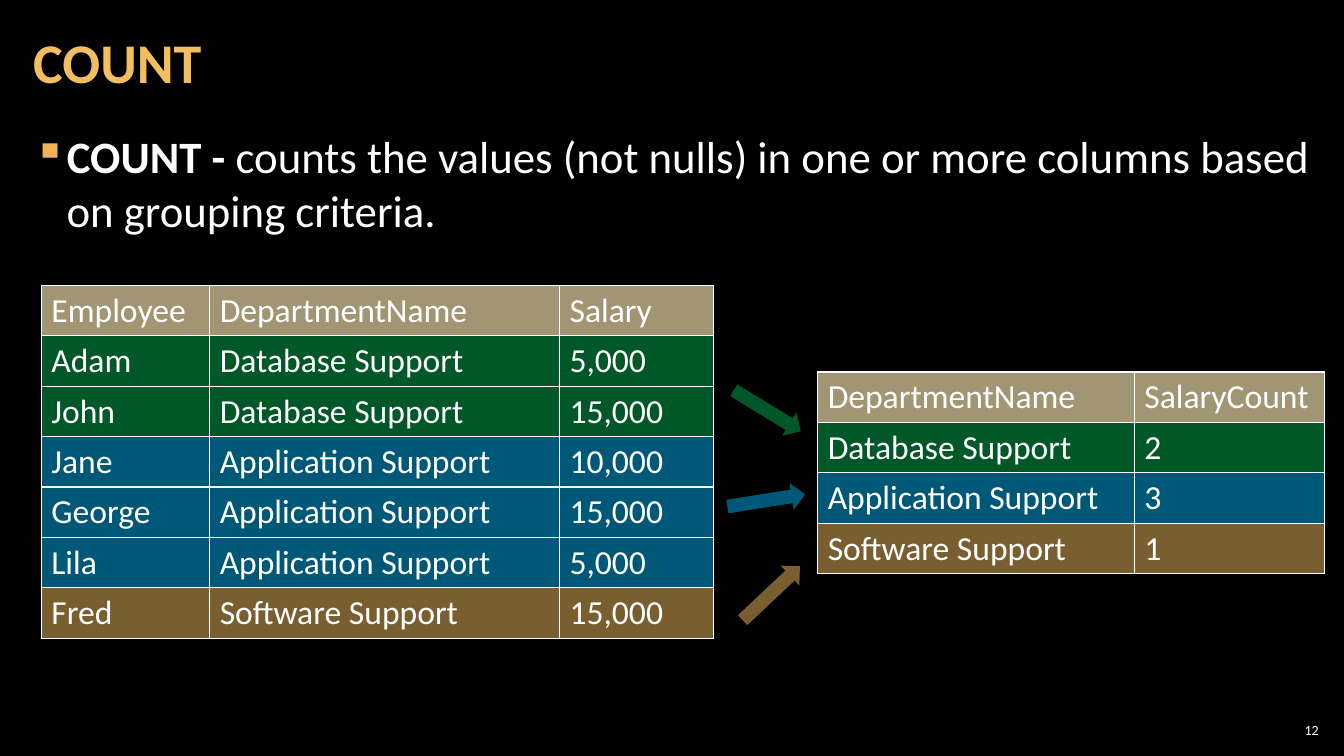
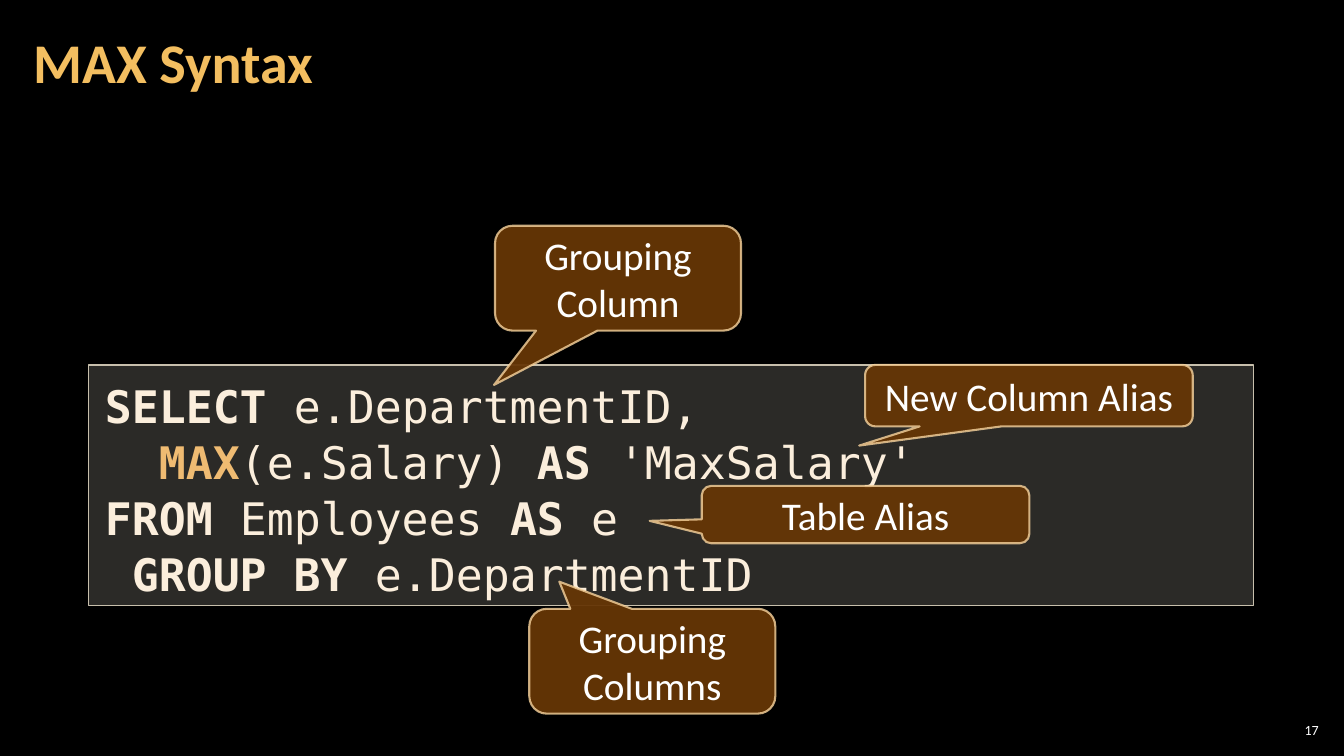
from pptx import Presentation
from pptx.dml.color import RGBColor
from pptx.enum.shapes import MSO_SHAPE
from pptx.enum.text import MSO_ANCHOR, PP_ALIGN
from pptx.oxml import parse_xml
from pptx.oxml.ns import nsdecls, qn
from pptx.util import Inches, Pt

BLACK = RGBColor(0x00, 0x00, 0x00)
WHITE = RGBColor(0xFF, 0xFF, 0xFF)
GOLD = RGBColor(0xF3, 0xBE, 0x60)
HEADER = RGBColor(0xA1, 0x95, 0x74)
GREEN = RGBColor(0x00, 0xB0, 0x50)
BLUE = RGBColor(0x00, 0xB0, 0xF0)
CODE_FILL = RGBColor(0xD9, 0xD5, 0xC7)
CODE_LINE = RGBColor(0xC7, 0xBF, 0xAC)
CODE_TEXT = RGBColor(0xFB, 0xEE, 0xDC)
CODE_FUNCTION = RGBColor(0xEF, 0xBB, 0x72)
CALLOUT_FILL = RGBColor(0x66, 0x36, 0x06)
CALLOUT_LINE = RGBColor(0xF8, 0xD4, 0x9E)
BODY_FONT = "Calibri"
CODE_FONT = "DejaVu Sans Mono"


def add_span(para, text, size, color=WHITE, bold=False, font=BODY_FONT):
    span = para.add_run()
    span.text = text
    span.font.name = font
    span.font.size = Pt(size)
    span.font.color.rgb = color
    span.font.bold = bold


def set_opacity(properties, percent):
    color = properties.find(qn("a:solidFill"))[0]
    color.append(parse_xml(f'<a:alpha {nsdecls("a")} val="{percent * 1000}"/>'))


deck = Presentation()
deck.slide_width = Inches(13.33)
deck.slide_height = Inches(7.5)

pages = []
for title, number in (("COUNT", "12"), ("MAX Syntax", "17")):
    page = deck.slides.add_slide(deck.slide_layouts[6])
    page.background.fill.solid()
    page.background.fill.fore_color.rgb = BLACK
    for text, place, side, size, color, bold, align in (
        (title, (0.21, 0.04, 10.47, 1.21), 0.12, 40, GOLD, True, PP_ALIGN.LEFT),
        (number, (12.65, 7.14, 0.47, 0.21), 0.04, 10, WHITE, False, PP_ALIGN.RIGHT),
    ):
        box = page.shapes.add_textbox(*map(Inches, place))
        frame = box.text_frame
        frame.word_wrap = True
        frame.vertical_anchor = MSO_ANCHOR.MIDDLE
        frame.margin_left = frame.margin_right = Inches(side)
        frame.margin_top = frame.margin_bottom = Inches(0.04)
        para = frame.paragraphs[0]
        para.alignment = align
        para.line_spacing = 0.9 if bold else 1.0
        add_span(para, text, size, color, bold)
    pages.append(page)
count_page, syntax_page = pages

box = count_page.shapes.add_textbox(Inches(0.21), Inches(1.24), Inches(12.91), Inches(1.3))
frame = box.text_frame
frame.word_wrap = True
frame.margin_left = frame.margin_right = Inches(0.12)
frame.margin_top = frame.margin_bottom = Inches(0.04)
para = frame.paragraphs[0]
para.space_before = para.space_after = Pt(6)
bullet = para._p.get_or_add_pPr()
bullet.set("marL", str(Inches(0.33)))
bullet.set("indent", str(-Inches(0.33)))
bullet.append(parse_xml(f'<a:buClr {nsdecls("a")}><a:srgbClr val="F2B254"/></a:buClr>'))
bullet.append(parse_xml(f'<a:buChar {nsdecls("a")} char="▪"/>'))
add_span(para, "COUNT -", 32, bold=True)
add_span(para, " counts the values (not nulls) in one or more columns based on grouping criteria.", 32)

DEPARTMENT_COLORS = {
    "Database Support": GREEN,
    "Application Support": BLUE,
    "Software Support": GOLD,
}
employees = (
    ("Employee", "DepartmentName", "Salary"),
    ("Adam", "Database Support", "5,000"),
    ("John", "Database Support", "15,000"),
    ("Jane", "Application Support", "10,000"),
    ("George", "Application Support", "15,000"),
    ("Lila", "Application Support", "5,000"),
    ("Fred", "Software Support", "15,000"),
)
salary_counts = (
    ("DepartmentName", "SalaryCount"),
    ("Database Support", "2"),
    ("Application Support", "3"),
    ("Software Support", "1"),
)
for rows, left, top, widths in (
    (employees, 0.41, 2.83, (1.67, 3.47, 1.53)),
    (salary_counts, 8.11, 3.69, (3.14, 1.89)),
):
    table = count_page.shapes.add_table(
        len(rows), len(widths), Inches(left), Inches(top),
        Inches(sum(widths)), Inches(0.5 * len(rows)),
    ).table
    table.horz_banding = False
    for column, width in zip(table.columns, widths):
        column.width = Inches(width)
    for row_index, row in enumerate(rows):
        department = next((text for text in row if text in DEPARTMENT_COLORS), None)
        for column_index, text in enumerate(row):
            cell = table.cell(row_index, column_index)
            add_span(cell.text_frame.paragraphs[0], text, 24)
            properties = cell._tc.get_or_add_tcPr()
            for edge in ("lnL", "lnR", "lnT", "lnB"):
                properties.append(parse_xml(
                    f'<a:{edge} {nsdecls("a")} w="{Pt(1)}"><a:solidFill>'
                    f'<a:srgbClr val="{WHITE}"/></a:solidFill></a:{edge}>'
                ))
            cell.fill.solid()
            cell.fill.fore_color.rgb = DEPARTMENT_COLORS.get(department, HEADER)
            if department:
                set_opacity(properties, 50)

for left, top, angle, color in (
    (7.22, 3.94, 31.4, GREEN),
    (7.21, 4.83, 351, BLUE),
    (7.26, 5.75, 316.7, GOLD),
):
    arrow = count_page.shapes.add_shape(
        MSO_SHAPE.RIGHT_ARROW, Inches(left), Inches(top), Inches(0.78), Inches(0.27)
    )
    arrow.rotation = angle
    arrow.shadow.inherit = False
    arrow.fill.solid()
    arrow.fill.fore_color.rgb = color
    arrow.line.fill.background()
    set_opacity(arrow._element.spPr, 50)

code_box = syntax_page.shapes.add_shape(
    MSO_SHAPE.RECTANGLE, Inches(0.88), Inches(3.62), Inches(11.55), Inches(2.39)
)
code_box.shadow.inherit = False
code_box.fill.solid()
code_box.fill.fore_color.rgb = CODE_FILL
set_opacity(code_box._element.spPr, 20)
code_box.line.color.rgb = CODE_LINE
code_box.line.width = Pt(1)
frame = code_box.text_frame
frame.word_wrap = True
frame.vertical_anchor = MSO_ANCHOR.TOP
frame.margin_left = frame.margin_right = Inches(0.16)
frame.margin_top = frame.margin_bottom = Inches(0.12)
code_lines = (
    (("SELECT ", True), ("e.DepartmentID,", False)),
    (("  ", False), ("MAX", True), ("(e.Salary) ", False), ("AS", True), (" 'MaxSalary'", False)),
    (("FROM", True), (" Employees ", False), ("AS", True), (" e", False)),
    ((" GROUP BY", True), (" e.DepartmentID", False)),
)
for index, code_line in enumerate(code_lines):
    para = frame.add_paragraph() if index else frame.paragraphs[0]
    para.alignment = PP_ALIGN.LEFT
    para.line_spacing = 1.04
    for text, bold in code_line:
        color = CODE_FUNCTION if text == "MAX" else CODE_TEXT
        add_span(para, text, 32, color, bold, CODE_FONT)

for text, place, pointer in (
    ("Grouping Column", (4.91, 2.24, 2.44, 1.04), (-0.504, 1.018)),
    ("Grouping Columns", (5.25, 6.04, 2.44, 1.04), (-0.378, -0.759)),
    ("Table Alias", (6.96, 4.82, 3.25, 0.57), (-0.659, 0.11)),
    ("New Column Alias", (8.58, 3.62, 3.25, 0.61), (-0.518, 0.813)),
):
    callout = syntax_page.shapes.add_shape(
        MSO_SHAPE.ROUNDED_RECTANGULAR_CALLOUT, *map(Inches, place)
    )
    callout.adjustments[0], callout.adjustments[1] = pointer
    callout.shadow.inherit = False
    callout.fill.solid()
    callout.fill.fore_color.rgb = CALLOUT_FILL
    set_opacity(callout._element.spPr, 95)
    callout.line.color.rgb = CALLOUT_LINE
    callout.line.width = Pt(1.5)
    set_opacity(callout._element.spPr.find(qn("a:ln")), 80)
    frame = callout.text_frame
    frame.word_wrap = True
    frame.vertical_anchor = MSO_ANCHOR.MIDDLE
    para = frame.paragraphs[0]
    para.alignment = PP_ALIGN.CENTER
    add_span(para, text, 28)

deck.save("out.pptx")
